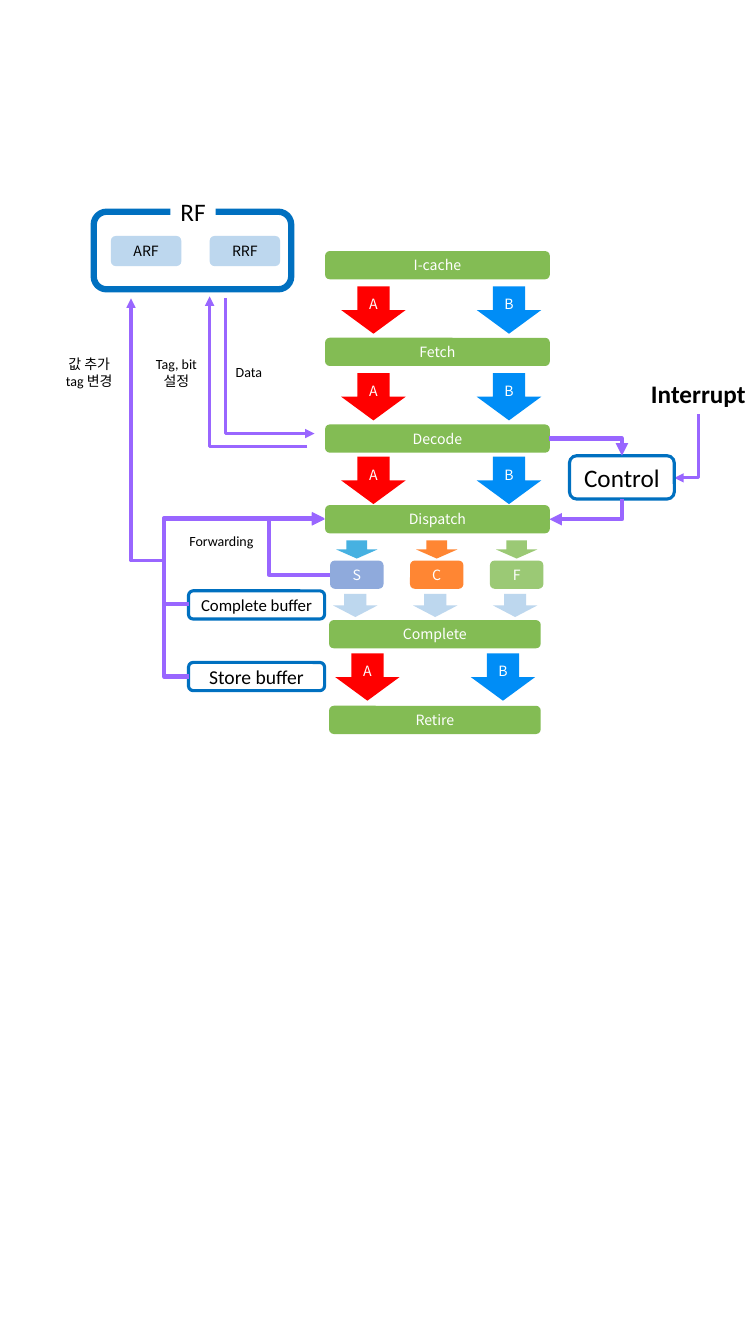
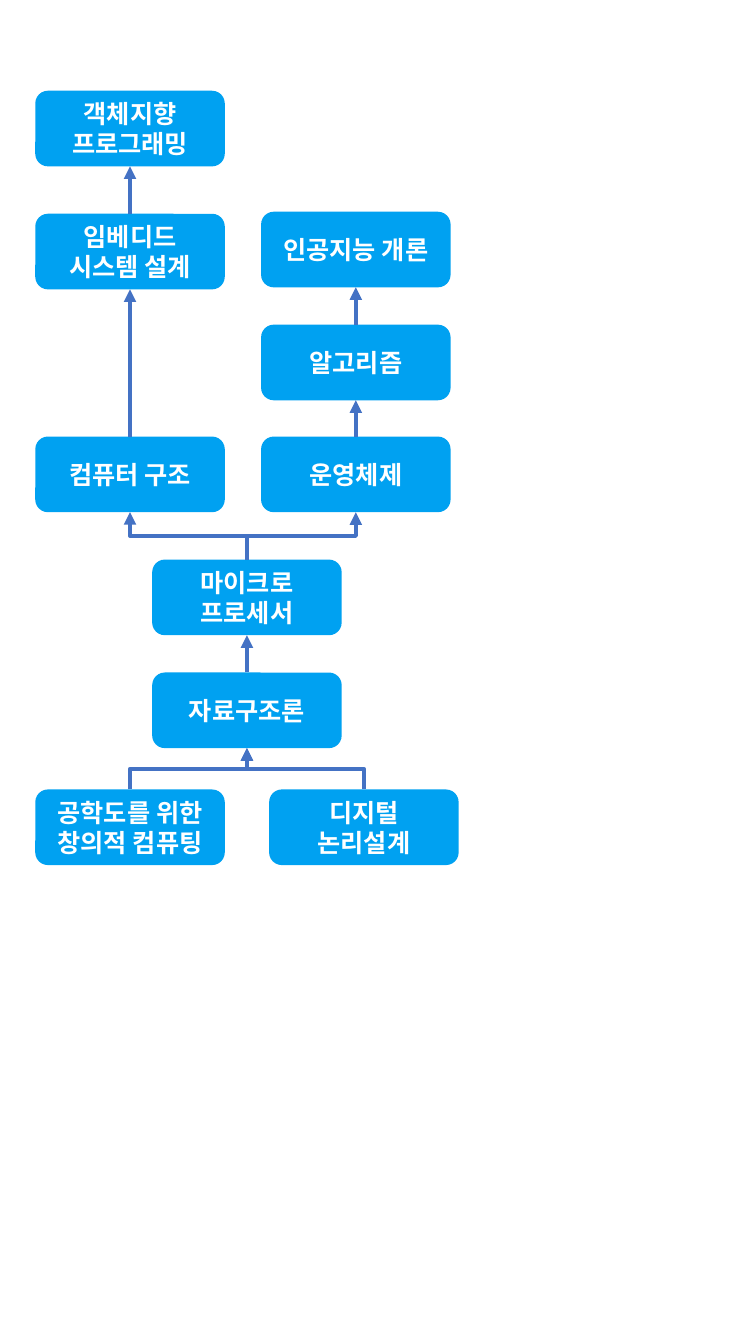
from dataclasses import dataclass
from typing import Any

import pptx
import pptx.dml.color
import pptx.enum.shapes
import pptx.enum.text
import pptx.oxml
import pptx.oxml.ns
import pptx.util

WIDTH = pptx.util.Inches(7.5)
HEIGHT = pptx.util.Inches(13.33)
COLUMNS = 75
CELL = WIDTH / COLUMNS

COLORS = {
    "stage": "83BC54",
    "lane_a": "FF0000",
    "lane_b": "008DF6",
    "unit_s": "8FAADC",
    "unit_c": "FF8633",
    "unit_f": "9BC975",
    "issue_s": "46B1E1",
    "pale": "BDD7EE",
    "outline": "0070C0",
    "signal": "9966FF",
    "course": "00A1F1",
    "prerequisite": "4472C4",
    "white": "FFFFFF",
    "black": "000000",
}
LATIN = "Calibri"
SANS = "Noto Sans CJK KR"

SHAPES = pptx.enum.shapes.MSO_SHAPE
CONNECTORS = pptx.enum.shapes.MSO_CONNECTOR
CENTER = pptx.enum.text.PP_ALIGN.CENTER
LEFT = pptx.enum.text.PP_ALIGN.LEFT


@dataclass
class Region:
    slide: Any
    left: float
    top: float

    def point(self, x, y):
        return round((self.left + x) * CELL), round((self.top + y) * CELL)


@dataclass
class TextStyle:
    size: float
    font: str = LATIN
    color: str = "black"
    bold: bool = False
    align: Any = CENTER


STAGE_TEXT = TextStyle(10.1, SANS, "white")
REGISTER_TEXT = TextStyle(10.1, SANS)
HEADING = TextStyle(18)
NOTE = TextStyle(10)
SIDE_NOTE = TextStyle(10, align=LEFT)
COURSE_TEXT = TextStyle(18, color="white", bold=True)


def rgb(name):
    return pptx.dml.color.RGBColor.from_string(COLORS[name])


def write(frame, text, style):
    for index, line in enumerate(text.split("\n")):
        paragraph = frame.add_paragraph() if index else frame.paragraphs[0]
        paragraph.alignment = style.align
        run = paragraph.add_run()
        run.text = line
        run.font.size = pptx.util.Pt(style.size)
        run.font.bold = style.bold
        run.font.color.rgb = rgb(style.color)
        run.font.name = style.font
        latin = run.font._element.find(pptx.oxml.ns.qn("a:latin"))
        east_asian = pptx.oxml.parse_xml(
            f'<a:ea {pptx.oxml.ns.nsdecls("a")} typeface="{style.font}"/>')
        latin.addnext(east_asian)


def block(region, box, fill=None, text="", style=None, kind=SHAPES.ROUNDED_RECTANGLE,
          outline=0, inset=0):
    x, y, width, height = box
    shape = region.slide.shapes.add_shape(
        kind, *region.point(x, y), round(width * CELL), round(height * CELL))
    shape.shadow.inherit = False
    if fill:
        shape.fill.solid()
        shape.fill.fore_color.rgb = rgb(fill)
    else:
        shape.fill.background()
    if outline:
        shape.line.color.rgb = rgb("outline")
        shape.line.width = pptx.util.Pt(outline)
    else:
        shape.line.fill.background()
    if text:
        frame = shape.text_frame
        frame.word_wrap = True
        frame.vertical_anchor = pptx.enum.text.MSO_ANCHOR.MIDDLE
        frame.margin_left = frame.margin_right = round(inset * CELL)
        write(frame, text, style)


def label(region, box, text, style, wrap=False):
    x, y, width, height = box
    caption = region.slide.shapes.add_textbox(
        *region.point(x, y), round(width * CELL), round(height * CELL))
    caption.text_frame.word_wrap = wrap
    write(caption.text_frame, text, style)


def arrow(region, start, end, color="signal", weight=3, vertical=False, bend=None,
          corner=False):
    elbow = corner or bend is not None
    (x1, y1), (x2, y2) = start, end
    turn = 0
    if elbow and vertical:
        down = y2 > y1
        turn = 90 if down else 270
        middle_x, middle_y = (x1 + x2) / 2, (y1 + y2) / 2
        run = abs(y2 - y1) / 2
        rise = (x1 - x2) / 2 if down else (x2 - x1) / 2
        x1, x2 = middle_x - run, middle_x + run
        y1, y2 = middle_y - rise, middle_y + rise
    link = region.slide.shapes.add_connector(
        CONNECTORS.ELBOW if elbow else CONNECTORS.STRAIGHT,
        *region.point(x1, y1), *region.point(x2, y2))
    link.line.color.rgb = rgb(color)
    link.line.width = pptx.util.Pt(weight)
    properties = link.element.spPr
    namespace = pptx.oxml.ns.nsdecls("a")
    if turn:
        properties.find(pptx.oxml.ns.qn("a:xfrm")).set("rot", str(turn * 60000))
    geometry = properties.find(pptx.oxml.ns.qn("a:prstGeom"))
    if corner:
        geometry.set("prst", "bentConnector2")
    elif elbow:
        guides = geometry.find(pptx.oxml.ns.qn("a:avLst"))
        guides.append(pptx.oxml.parse_xml(
            f'<a:gd {namespace} name="adj1" fmla="val {round(bend * 100000)}"/>'))
    properties.find(pptx.oxml.ns.qn("a:ln")).append(
        pptx.oxml.parse_xml(f'<a:tailEnd {namespace} type="triangle"/>'))
    properties.append(pptx.oxml.parse_xml(f'<a:effectLst {namespace}/>'))


def pipeline(region):
    stages = [("I-cache", 0, 0, 22.3), ("Fetch", 0, 8.6, 22.3),
              ("Decode", 0, 17.2, 22.3), ("Dispatch", 0, 25.2, 22.3),
              ("Complete", 0.4, 36.6, 21), ("Retire", 0.4, 45.1, 21)]
    for name, x, y, width in stages:
        block(region, (x, y, width, 2.8), "stage", name, STAGE_TEXT)

    for x, y in [(1.6, 3.5), (1.6, 12.1), (1.6, 20.4), (1, 39.9)]:
        for lane, (name, color) in enumerate([("A", "lane_a"), ("B", "lane_b")]):
            block(region, (x + lane * 13.45, y, 6.4, 4.7), color, name, STAGE_TEXT,
                  SHAPES.DOWN_ARROW)

    units = [("S", "unit_s", "issue_s"), ("C", "unit_c", "unit_c"),
             ("F", "unit_f", "unit_f")]
    for index, (name, color, issue) in enumerate(units):
        x = index * 7.93
        block(region, (x + 1.1, 28.7, 4.1, 1.8), issue, kind=SHAPES.DOWN_ARROW)
        block(region, (x + 0.5, 30.7, 5.3, 2.8), color, name, STAGE_TEXT)
        block(region, (x + 0.8, 34, 4.4, 2.3), "pale", kind=SHAPES.DOWN_ARROW)


def register_file(region):
    block(region, (0, 0, 19.6, 7.7), outline=4.5)
    block(region, (7.6, -2, 4.5, 3.9), "white", "RF", HEADING, SHAPES.RECTANGLE)
    for index, name in enumerate(["ARF", "RRF"]):
        block(region, (1.7 + index * 9.8, 2.4, 7, 3), "pale", name, REGISTER_TEXT)

    arrow(region, (13.1, 8.6), (21.9, 22), weight=2.25, vertical=True, corner=True)
    arrow(region, (21.2, 23.3), (11.5, 8.4), weight=2.25, corner=True)
    arrow(region, (6.8, 34.6), (3.7, 8.6), weight=2.25, corner=True)

    label(region, (13.1, 14.6, 4.7, 2.7), "Data", SIDE_NOTE)
    label(region, (5.1, 13.8, 6.2, 4.4), "Tag, bit\n설정", NOTE)
    label(region, (-4.1, 13.8, 7.3, 4.4), "값 추가\ntag 변경", NOTE, wrap=True)


def control(region):
    arrow(region, (12.8, -4.1), (10.4, 2.2), weight=2.25, vertical=True, corner=True)
    label(region, (7.1, -8.2, 11.5, 4), "Interrupt",
          TextStyle(18, bold=True, align=LEFT))
    block(region, (0, 0, 10.4, 4.3), text="Control", style=HEADING, outline=2.25)
    arrow(region, (-2, -1.7), (5.2, 0), corner=True)
    arrow(region, (5.2, 4.3), (-2, 6.3), vertical=True, corner=True)


def buffers(region):
    for name, y, size in [("Store buffer", 7.1, 14), ("Complete buffer", 0, 12)]:
        block(region, (0, y, 13.5, 2.8), text=name, style=TextStyle(size), outline=2.25)
    for start, end, bend in [((0, 1.3), (13.5, -7.2), -0.18),
                             ((0, 8.5), (13.5, -7.1), -0.18),
                             ((14, -1.6), (13.5, -7.1), 12)]:
        arrow(region, start, end, bend=bend)
    label(region, (-0.9, -6.3, 8.5, 2.7), "Forwarding", SIDE_NOTE)


def course_map(region):
    width, height = 18.8, 7.5
    courses = {
        "objects": (0, 0, "객체지향 프로그래밍"),
        "embedded": (0, 12.2, "임베디드\n시스템 설계"),
        "intelligence": (22.4, 12, "인공지능 개론"),
        "algorithms": (22.4, 23.2, "알고리즘"),
        "architecture": (0, 34.3, "컴퓨터 구조"),
        "systems": (22.4, 34.3, "운영체제"),
        "microprocessor": (11.6, 46.5, "마이크로\n프로세서"),
        "structures": (11.6, 57.7, "자료구조론"),
        "logic": (23.2, 69.3, "디지털 논리설계"),
        "computing": (0, 69.3, "공학도를 위한 창의적 컴퓨팅"),
    }
    for x, y, title in courses.values():
        block(region, (x, y, width, height), "course", title, COURSE_TEXT, inset=1)

    prerequisites = [
        ("computing", "structures"), ("logic", "structures"),
        ("structures", "microprocessor"), ("microprocessor", "architecture"),
        ("microprocessor", "systems"), ("systems", "algorithms"),
        ("algorithms", "intelligence"), ("architecture", "embedded"),
        ("embedded", "objects"),
    ]
    for earlier, later in prerequisites:
        x1, y1, _ = courses[earlier]
        x2, y2, _ = courses[later]
        arrow(region, (x1 + width / 2, y1), (x2 + width / 2, y2 + height),
              "prerequisite", vertical=True, bend=None if x1 == x2 else 0.5)


def main():
    deck = pptx.Presentation()
    deck.slide_width, deck.slide_height = WIDTH, HEIGHT
    blank = deck.slide_layouts[6]

    processor = deck.slides.add_slide(blank)
    pipeline(Region(processor, 32.25, 24.9))
    register_file(Region(processor, 9.3, 21))
    control(Region(processor, 56.5, 45.2))
    buffers(Region(processor, 18.7, 58.6))

    curriculum = deck.slides.add_slide(blank)
    course_map(Region(curriculum, 3.5, 9))

    deck.save("out.pptx")


if __name__ == "__main__":
    main()
